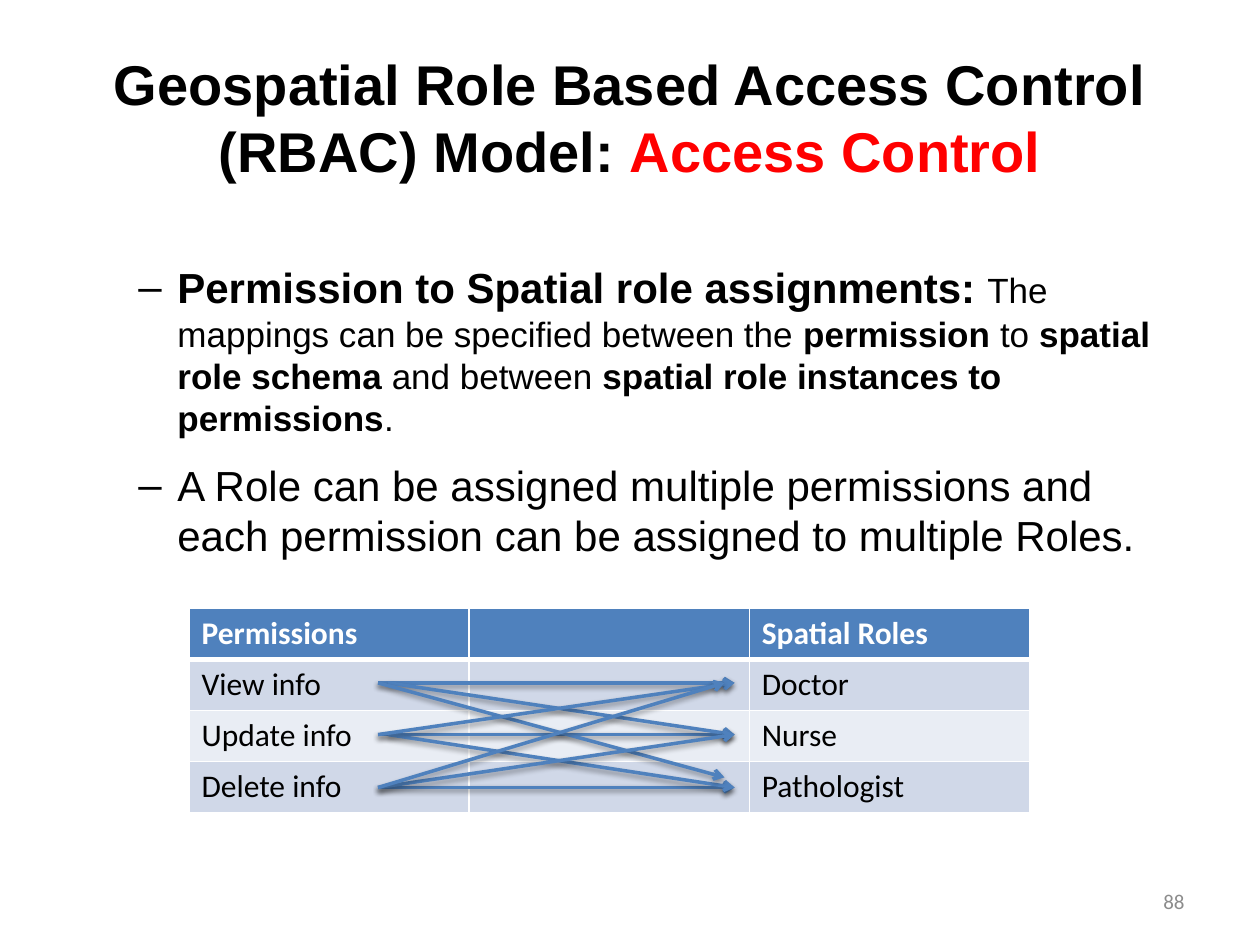
from typing import NamedTuple

from lxml import etree
from pptx import Presentation
from pptx.dml.color import RGBColor
from pptx.enum.shapes import MSO_CONNECTOR
from pptx.enum.text import MSO_ANCHOR, PP_ALIGN
from pptx.oxml import parse_xml
from pptx.oxml.ns import nsdecls, qn
from pptx.util import Inches, Pt

STRAIGHT = MSO_CONNECTOR.STRAIGHT
TOP, MIDDLE = MSO_ANCHOR.TOP, MSO_ANCHOR.MIDDLE
LEFT, CENTER, RIGHT = PP_ALIGN.LEFT, PP_ALIGN.CENTER, PP_ALIGN.RIGHT

COLORS = {
    "black": "000000",
    "white": "FFFFFF",
    "red": "FF0000",
    "blue": "4F81BD",
    "band_dark": "D0D8E8",
    "band_light": "E9EDF4",
    "gray": "8C8C8C",
}


class Arrow(NamedTuple):
    start_x: float
    start_y: float
    end_x: float
    end_y: float


VIEW, UPDATE, DELETE = 5.42, 5.83, 6.25
ARROWS = [
    *(Arrow(3, y, 5.83, y) for y in (VIEW, UPDATE, DELETE)),
    Arrow(3.08, VIEW, 5.83, UPDATE),
    Arrow(3.08, UPDATE, 5.83, DELETE),
    Arrow(3, VIEW, 5.75, 6.17),
    Arrow(3, UPDATE, 5.83, VIEW),
    Arrow(3, DELETE, 5.83, UPDATE),
    Arrow(3, DELETE, 5.75, VIEW),
]

ROWS = [
    ("Permissions", "", "Spatial Roles"),
    ("View info", "", "Doctor"),
    ("Update info", "", "Nurse"),
    ("Delete info", "", "Pathologist"),
]


def add_span(para, text: str, *, size: float, font: str = "Arial",
             color: str = "black", bold: bool = False) -> None:
    span = para.add_run()
    span.text = text
    span.font.size = Pt(size)
    span.font.name = font
    span.font.bold = bold
    span.font.color.rgb = RGBColor.from_string(COLORS[color])


def add_text_frame(page, left: float, top: float, width: float, height: float, anchor=TOP):
    box = page.shapes.add_textbox(Inches(left), Inches(top), Inches(width), Inches(height))
    box.text_frame.word_wrap = True
    box.text_frame.vertical_anchor = anchor
    return box.text_frame


def format_dash_item(para, space_before: float) -> None:
    para.space_before, para.space_after = Pt(space_before), Pt(6)
    properties = para._p.get_or_add_pPr()
    properties.set("marL", str(Inches(0.81)))
    properties.set("indent", str(Inches(-0.31)))
    etree.SubElement(properties, qn("a:buFont"), typeface="Arial")
    etree.SubElement(properties, qn("a:buChar"), char="–")


def set_borders(cell, **widths: float) -> None:
    """Draw white borders; the keywords are L, R, T and B in points."""
    properties = cell._tc.get_or_add_tcPr()
    for position, (side, width) in enumerate(widths.items()):
        properties.insert(position, parse_xml(
            f'<a:ln{side} {nsdecls("a")} w="{Pt(width)}"><a:solidFill>'
            f'<a:srgbClr val="{COLORS["white"]}"/></a:solidFill></a:ln{side}>'))


def add_role_table(page) -> None:
    frame = page.shapes.add_table(len(ROWS), len(ROWS[0]), Inches(1.5), Inches(4.83),
                                  Inches(6.67), Inches(1.62))
    for row, texts in enumerate(ROWS):
        header = row == 0
        fill = "blue" if header else ("band_light", "band_dark")[row % 2]
        for column, text in enumerate(texts):
            cell = frame.table.cell(row, column)
            cell.fill.solid()
            cell.fill.fore_color.rgb = RGBColor.from_string(COLORS[fill])
            set_borders(cell, L=1, R=1, T=3 if row == 1 else 1, B=3 if header else 1)
            if text:
                add_span(cell.text_frame.paragraphs[0], text, size=18, font="Calibri",
                         color="white" if header else "black", bold=header)


def add_arrow(page, arrow: Arrow) -> None:
    connector = page.shapes.add_connector(STRAIGHT, *(Inches(value) for value in arrow))
    connector.line.width = Pt(2)
    connector.line.color.rgb = RGBColor.from_string(COLORS["blue"])
    properties = connector._element.spPr
    etree.SubElement(properties.find(qn("a:ln")), qn("a:tailEnd"), type="arrow")
    properties.append(parse_xml(
        f'<a:effectLst {nsdecls("a")}><a:outerShdw blurRad="{Pt(3.1)}" dist="{Pt(1.6)}" '
        f'dir="5400000" rotWithShape="0"><a:srgbClr val="{COLORS["black"]}">'
        '<a:alpha val="38000"/></a:srgbClr></a:outerShdw></a:effectLst>'))


def add_title(page) -> None:
    para = add_text_frame(page, 0.5, 0.3, 9, 1.25, MIDDLE).paragraphs[0]
    para.alignment = CENTER
    add_span(para, "Geospatial Role Based Access Control (RBAC) Model: ", size=32, bold=True)
    add_span(para, "Access Control", size=32, color="red", bold=True)


def add_body(page) -> None:
    frame = add_text_frame(page, 0.5, 2.03, 9, 2.6)
    assignment = frame.paragraphs[0]
    format_dash_item(assignment, 0)
    add_span(assignment, "Permission to Spatial role assignments: ", size=24, bold=True)
    for text, bold in (
        ("The mappings can be specified between the ", False),
        ("permission", True),
        (" to ", False),
        ("spatial role schema", True),
        (" and between ", False),
        ("spatial role instances to permissions", True),
        (".", False),
    ):
        add_span(assignment, text, size=20, bold=bold)
    multiplicity = frame.add_paragraph()
    format_dash_item(multiplicity, 6)
    add_span(multiplicity, "A Role can be assigned multiple permissions and each permission "
             "can be assigned to multiple Roles.", size=24)


def add_page_number(page) -> None:
    para = add_text_frame(page, 7.17, 6.95, 2.33, 0.4, MIDDLE).paragraphs[0]
    para.alignment = RIGHT
    add_span(para, "88", size=12, font="Calibri", color="gray")


def main() -> None:
    deck = Presentation()
    deck.slide_width, deck.slide_height = Inches(10), Inches(7.5)
    page = deck.slides.add_slide(deck.slide_layouts[6])
    add_title(page)
    add_body(page)
    add_role_table(page)
    for arrow in ARROWS:
        add_arrow(page, arrow)
    add_page_number(page)
    deck.save("out.pptx")


if __name__ == "__main__":
    main()
